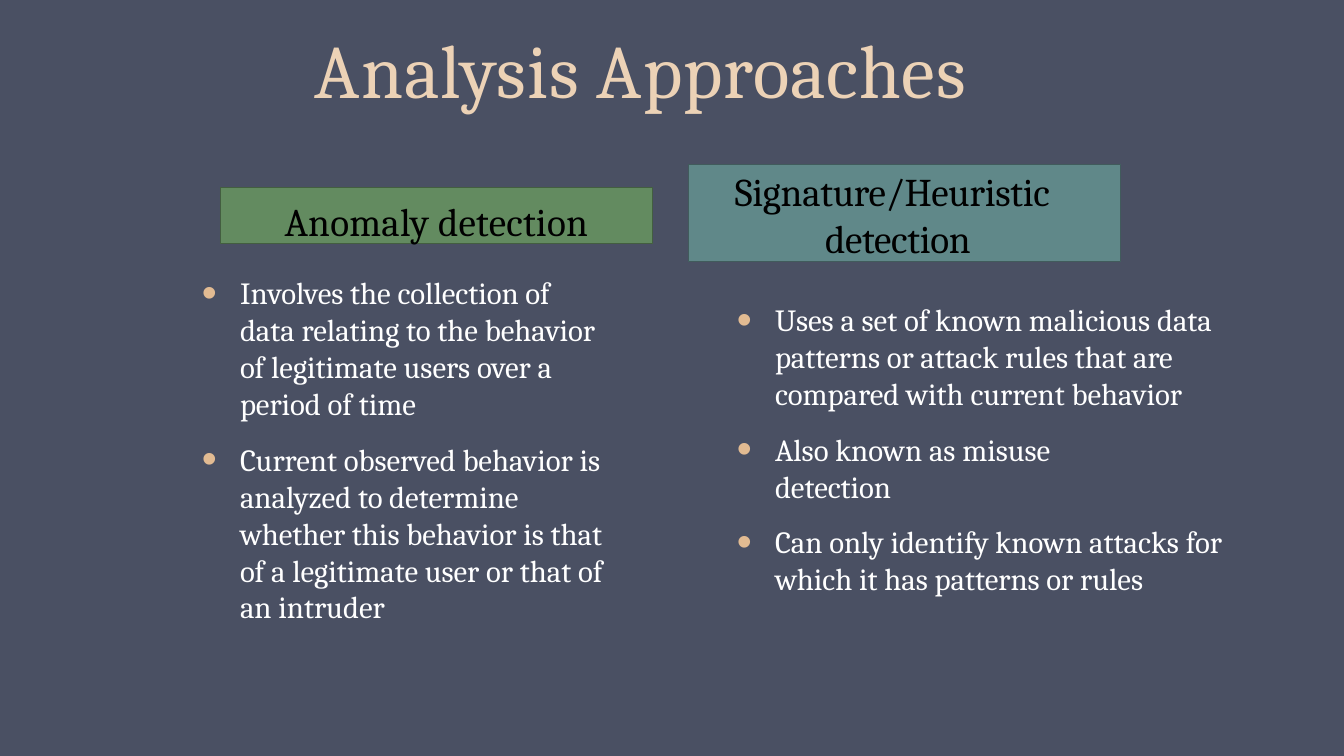
from dataclasses import dataclass
from typing import Any

from lxml import etree
from pptx import Presentation
from pptx import util as u
from pptx.dml.color import RGBColor
from pptx.enum import shapes, text
from pptx.oxml.ns import qn

EMU_PER_PX = 914400 / 100.8
FONT = "Cambria"
COLOURS = {
    "page": "4A5063",
    "title": "ECD2B6",
    "bullet": "E2BB92",
    "body": "FFFFFF",
    "header": "000000",
    "green": "638B60",
    "green line": "435E40",
    "teal": "608889",
    "teal line": "415B5C",
}


@dataclass
class Line:
    words: str
    size: int
    colour: str
    before: float = 0
    indent: int = 0  # px
    hanging: int = 0  # px
    tracking: int = 0  # hundredths of a point
    bullet: bool = False
    align: Any = text.PP_ALIGN.LEFT


@dataclass
class Header:
    area: tuple[int, int, int, int]
    fill: str
    inset: int
    line: Line


@dataclass
class Column:
    area: tuple[int, int, int, int]
    lines: list[Line]


def px(length: float) -> int:
    return u.Emu(round(length * EMU_PER_PX))


def colour(name: str) -> RGBColor:
    return RGBColor.from_string(COLOURS[name])


def apply(target: Any, values: dict[str, Any]) -> None:
    for name, value in values.items():
        setattr(target, name, value)


def place(box: Any, area: tuple[int, int, int, int]) -> None:
    apply(box, dict(zip(("left", "top", "width", "height"), map(px, area))))


def write(box: Any, lines: list[Line], inset: int = 1) -> None:
    frame = box.text_frame
    apply(frame, {
        "word_wrap": True,
        "auto_size": text.MSO_AUTO_SIZE.NONE,
        "vertical_anchor": text.MSO_ANCHOR.TOP,
        "margin_left": 0, "margin_right": 0, "margin_bottom": 0,
        "margin_top": px(inset),
    })
    for number, line in enumerate(lines):
        para = frame.add_paragraph() if number else frame.paragraphs[0]
        apply(para, {"alignment": line.align, "space_before": u.Pt(line.before)})
        span = para.add_run()
        span.text = line.words
        apply(span.font, {"name": FONT, "size": u.Pt(line.size), "bold": False})
        span.font.color.rgb = colour(line.colour)
        span.font._element.set("spc", str(line.tracking))

        # Indents and bullets
        props = para._p.get_or_add_pPr()
        props.set("marL", str(px(line.indent)))
        props.set("indent", str(px(-line.hanging)))
        if line.bullet:
            tint = etree.SubElement(props, qn("a:buClr"))
            etree.SubElement(tint, qn("a:srgbClr"), val=COLOURS["bullet"])
            etree.SubElement(props, qn("a:buSzPct"), val="139000")
            etree.SubElement(props, qn("a:buChar"), char="•")
        else:
            etree.SubElement(props, qn("a:buNone"))


def add_header(page: Any, header: Header) -> None:
    box = page.shapes.add_shape(shapes.MSO_SHAPE.RECTANGLE, *map(px, header.area))
    box.shadow.inherit = False
    box.fill.solid()
    box.fill.fore_color.rgb = colour(header.fill)
    box.line.color.rgb = colour(header.fill + " line")
    box.line.width = u.Pt(0.72)
    write(box, [header.line], header.inset)


def item(words: str, before: float = 13.3) -> Line:
    return Line(words, 22, "body", before, 39, 38, bullet=True)


TITLE = Line("Analysis Approaches", 54, "title", 1, 1, tracking=65)
HEADERS = [
    Header((220, 188, 433, 56), "green", 9,
           Line("Anomaly detection", 28, "header", 6.2, tracking=20,
                align=text.PP_ALIGN.CENTER)),
    Header((688, 164, 433, 98), "teal", 3,
           Line("Signature/Heuristic detection", 28, "header", 2, 137, 90, -20)),
]
COLUMNS = [
    Column((201, 273, 408, 354), [
        item("Involves the collection of data relating to the behavior of "
             "legitimate users over a period of time", 0.9),
        item("Current observed behavior is analyzed to determine whether this "
             "behavior is that of a legitimate user or that of an intruder"),
    ]),
    Column((736, 300, 527, 299), [
        item("Uses a set of known malicious data patterns or attack rules that "
             "are compared with current behavior", 0.9),
        item("Also known as misuse"),
        Line("detection", 22, "body", indent=39),
        item("Can only identify known attacks for which it has patterns or rules"),
    ]),
]


def main() -> None:
    deck = Presentation()
    apply(deck, {"slide_width": px(1344), "slide_height": px(756)})
    page = deck.slides.add_slide(deck.slide_layouts.get_by_name("Two Content"))
    page.background.fill.solid()
    page.background.fill.fore_color.rgb = colour("page")

    # Title
    place(page.shapes.title, (314, 22, 715, 94))
    write(page.shapes.title, [TITLE])

    # Column headers
    for header in HEADERS:
        add_header(page, header)

    # Bulleted lists
    for number, column in enumerate(COLUMNS, start=1):
        body = page.placeholders[number]
        place(body, column.area)
        write(body, column.lines)

    deck.save("out.pptx")


if __name__ == "__main__":
    main()
